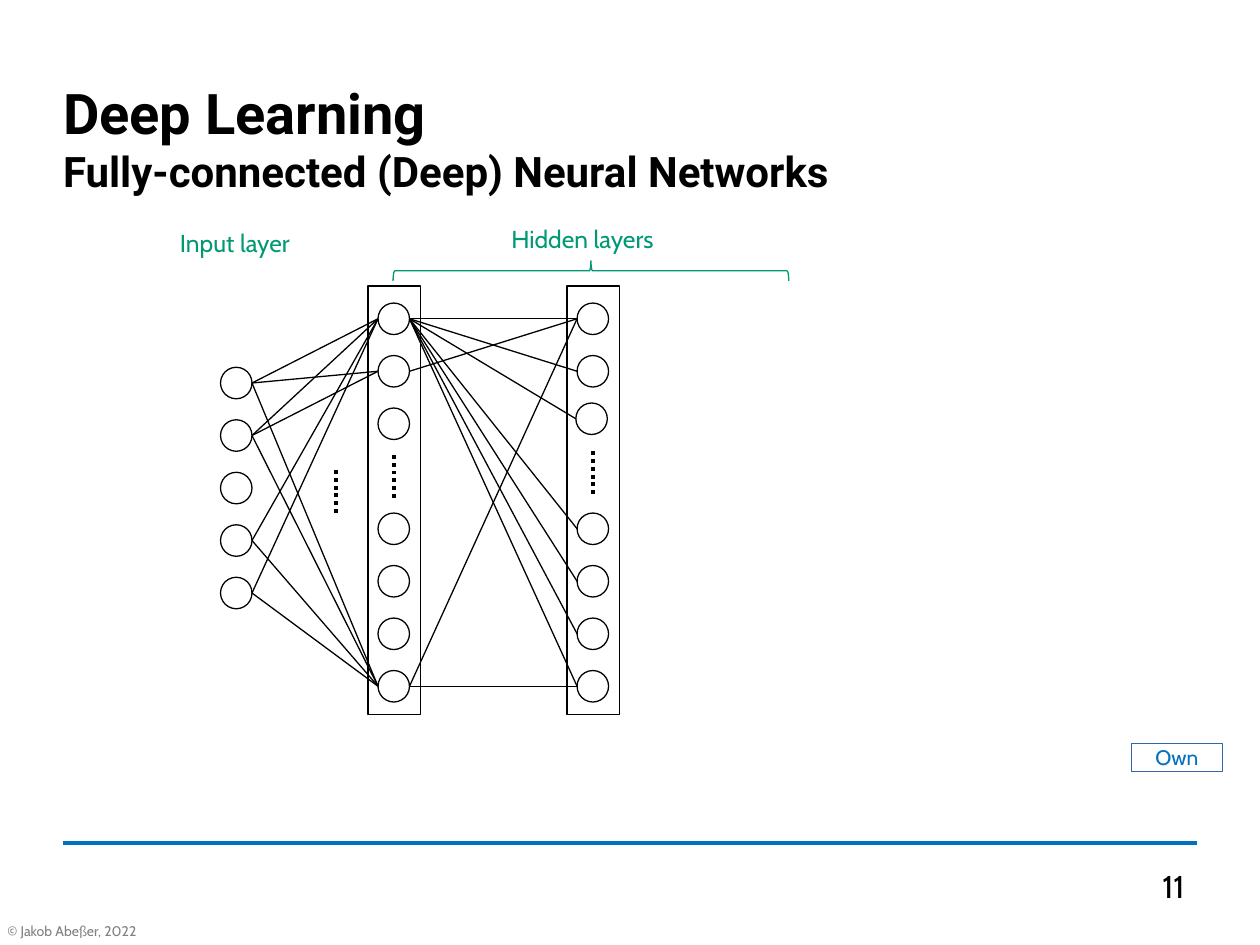
from pptx import Presentation
from pptx.dml.color import RGBColor as RGB
from pptx.enum.dml import MSO_LINE as Dash
from pptx.enum.shapes import MSO_CONNECTOR as Conn, MSO_SHAPE as Kind
from pptx.enum.text import MSO_ANCHOR as Anchor, PP_ALIGN as Align
from pptx.oxml.ns import qn
from pptx.util import Inches as In, Pt
from lxml.etree import SubElement as Sub

W, H = 10, 7.5
INK = {"black": "000000", "blue": "0070C0", "edge": "3465A4",
       "green": "009973", "gray": "808080"}

TITLE = [("Deep Learning", 32), ("Fully-connected (Deep) Neural Networks", 24)]
# text, box, size, colour, alignment
LABELS = [
    ("11", (8.42, 6.83, 1.08, 0.4), 18, "black", Align.RIGHT),
    ("© Jakob Abeßer, 2022", (-0.04, 7.27, 3.08, 0.24), 8, "gray", Align.LEFT),
    ("Input layer", (1.33, 1.76, 1.92, 0.34), 14, "green", Align.LEFT),
    ("Hidden layers", (3.96, 1.73, 1.92, 0.34), 14, "green", Align.LEFT),
]

# Network grid: left edge, first centre and filled rows of each layer
NODE, STEP = 0.25, 5 / 12
LAYERS = {
    "input": (1.75, 3.04, (0, 1, 2, 3, 4)),
    "first": (3, 2.53, (0, 1, 2, 4, 5, 6, 7)),
    "second": (4.58, 2.53, (0, 1, 2, 4, 5, 6, 7)),
}
SHIFT = {("second", 2): (-0.01, -0.04)}
FRAMES = ["first", "second"]
# Layer pair: {row on the left: rows on the right}
LINKS = {
    ("input", "first"): {0: (0, 1, 7), 1: (0, 1, 7), 3: (0, 7), 4: (0, 7)},
    ("first", "second"): {0: (0, 1, 2, 4, 5, 6, 7), 1: (0,), 7: (0, 7)},
}
DOTS = [(2.67, 3.73), (3.13, 3.61), (4.71, 3.58)]

deck = Presentation()
deck.slide_width, deck.slide_height = In(W), In(H)
slide = deck.slides.add_slide(deck.slide_layouts[6])
shapes = slide.shapes


def style(font, size, ink, name="Cabin", bold=False):
    font.size, font.name, font.bold = Pt(size), name, bold
    font.color.rgb = RGB.from_string(INK[ink])


def line(x1, y1, x2, y2, ink="black", width=0.75):
    link = shapes.add_connector(Conn.STRAIGHT, In(x1), In(y1), In(x2), In(y2))
    link.line.color.rgb = RGB.from_string(INK[ink])
    link.line.width = Pt(width)
    Sub(link.element.spPr, qn("a:effectLst"))
    return link


def shape(kind, box, ink="black", width=0.75):
    form = shapes.add_shape(kind, *map(In, box))
    form.shadow.inherit = False
    form.fill.background()
    form.line.color.rgb = RGB.from_string(INK[ink])
    form.line.width = Pt(width)
    return form


def frame(box, inset=None):
    body = shapes.add_textbox(*map(In, box)).text_frame
    body.word_wrap = True
    if inset is not None:
        trim(body, inset)
    return body


def trim(body, inset):
    body.margin_left = body.margin_right = In(inset)
    body.margin_top = body.margin_bottom = In(inset)


def spot(layer, row):
    """Left edge and centre height of a node."""
    left, top, _ = LAYERS[layer]
    dx, dy = SHIFT.get((layer, row), (0, 0))
    return left + dx, top + row * STEP + dy


line(W * 0.05, 6.69, W * 0.95, 6.69, "blue", 2.5)

head = frame((0.5, 0.59, 8.99, 1), 0)
head.vertical_anchor = Anchor.MIDDLE
head.text = "\n".join(text for text, _ in TITLE)
for para, (_, size) in zip(head.paragraphs, TITLE):
    style(para.runs[0].font, size, "black", "Roboto", True)

for text, box, size, ink, align in LABELS:
    para = frame(box).paragraphs[0]
    para.text, para.alignment = text, align
    style(para.runs[0].font, size, ink)

for layer in FRAMES:
    shape(Kind.RECTANGLE, (LAYERS[layer][0] - 0.08, 2.27, STEP, 3.4))

for layer, (_, _, rows) in LAYERS.items():
    for row in rows:
        x, y = spot(layer, row)
        shape(Kind.OVAL, (x, y - NODE / 2, NODE, NODE))

for (src, dst), fan in LINKS.items():
    for row, ends in fan.items():
        x, y = spot(src, row)
        for end in ends:
            line(x + NODE, y, *spot(dst, end))

for x, y in DOTS:
    line(x, y, x, y + 0.35, width=2.25).line.dash_style = Dash.ROUND_DOT

brace = shape(Kind.LEFT_BRACE, (4.61, 0.58, 0.16, 3.14), "green")
brace.rotation = 90
brace.adjustments[0], brace.adjustments[1] = 0.08, 0.5

tag = shape(Kind.RECTANGLE, (8.98, 5.9, 0.72, 0.22), "edge", 0.5).text_frame
trim(tag, 0)
tag.vertical_anchor = Anchor.MIDDLE
tag.text = "Own"
tag.paragraphs[0].alignment = Align.CENTER
style(tag.paragraphs[0].runs[0].font, 12, "blue")

deck.save("out.pptx")
